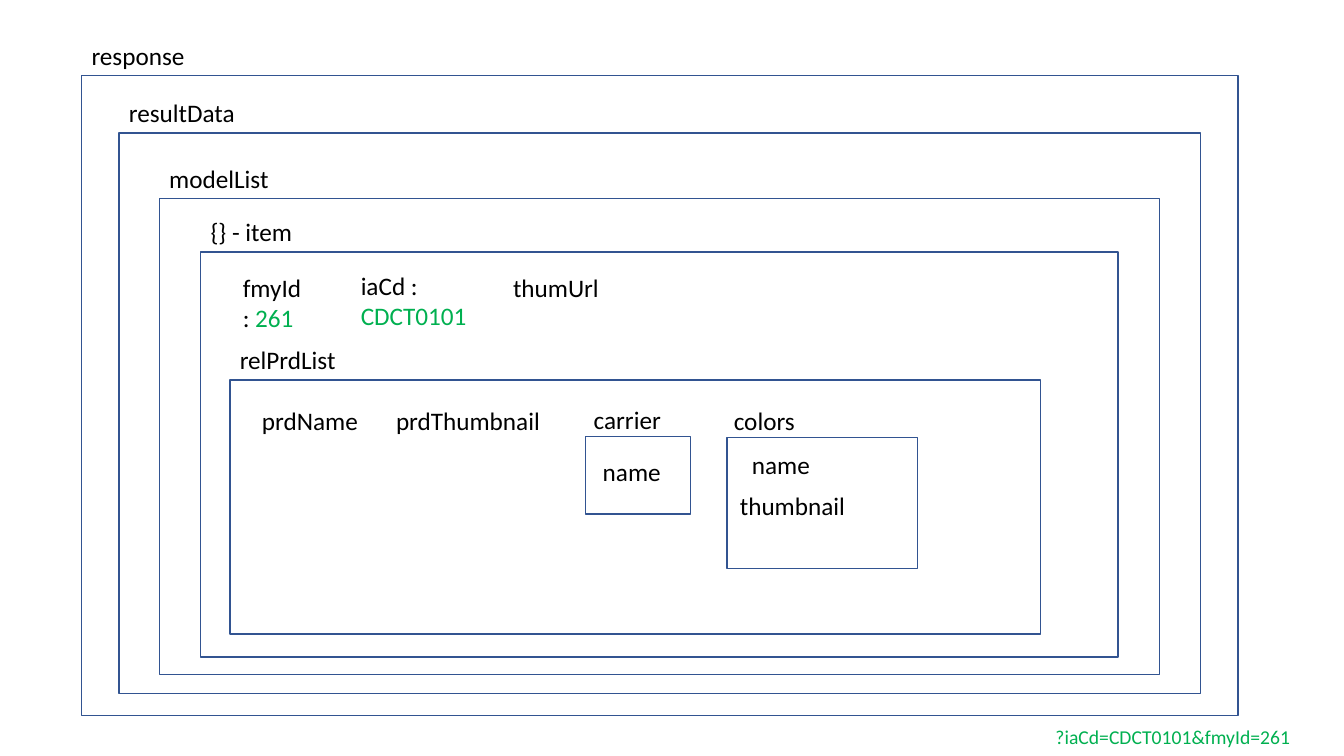
from pptx import Presentation
from pptx.dml.color import RGBColor
from pptx.enum.shapes import MSO_SHAPE
from pptx.enum.text import MSO_AUTO_SIZE
from pptx.util import Inches, Pt

RECTANGLE = MSO_SHAPE.RECTANGLE
FIT_SHAPE = MSO_AUTO_SIZE.SHAPE_TO_FIT_TEXT
BLACK = RGBColor(0x00, 0x00, 0x00)
GREEN = RGBColor(0x00, 0xB0, 0x50)
BLUE = RGBColor(0x32, 0x54, 0x91)
FONT = "Calibri"
LABEL_HEIGHT = 0.4

NESTED_OBJECTS = [
    ("response", 0.81, 0.75, 11.47, 6.35),
    ("resultData", 1.18, 1.32, 10.73, 5.56),
    ("modelList", 1.58, 1.97, 9.92, 4.72),
    ("{} - item", 1.99, 2.5, 9.1, 4.02),
    ("relPrdList", 2.28, 3.77, 8.04, 2.52),
]
VALUE_OBJECTS = [
    (5.81, 4.33, 1.04, 0.77),
    (7.21, 4.34, 1.89, 1.3),
]
FIELDS = [
    ("thumUrl", 4.99, 2.65, 1.33),
    ("prdName", 2.5, 3.97, 1.33),
    ("prdThumbnail", 3.83, 3.97, 1.96),
    ("carrier", 5.79, 3.96, 1.33),
    ("name", 5.88, 4.48, 1.33),
    ("colors", 7.18, 3.97, 1.33),
    ("thumbnail", 7.24, 4.82, 1.33),
    ("name", 7.36, 4.41, 1.33),
]


def add_text(slide, paragraphs, left, top, width, height=LABEL_HEIGHT,
             size=18, wrap=True):
    box = slide.shapes.add_textbox(
        Inches(left), Inches(top), Inches(width), Inches(height))
    frame = box.text_frame
    frame.word_wrap = wrap
    frame.auto_size = FIT_SHAPE
    for index, runs in enumerate(paragraphs):
        paragraph = frame.add_paragraph() if index else frame.paragraphs[0]
        for text, color in runs:
            run = paragraph.add_run()
            run.text = text
            run.font.name = FONT
            run.font.size = Pt(size)
            run.font.color.rgb = color


def add_outline(slide, left, top, width, height):
    shape = slide.shapes.add_shape(
        RECTANGLE, Inches(left), Inches(top), Inches(width), Inches(height))
    shape.shadow.inherit = False
    shape.fill.background()
    shape.line.color.rgb = BLUE
    shape.line.width = Pt(1)


def add_labelled_outline(slide, label, left, top, width, height):
    add_outline(slide, left, top, width, height)
    add_text(slide, [[(label, BLACK)]], left, top - LABEL_HEIGHT, 1.33,
             wrap=True)


def main():
    presentation = Presentation()
    presentation.slide_width = Inches(13.33)
    presentation.slide_height = Inches(7.5)
    slide = presentation.slides.add_slide(presentation.slide_layouts[6])

    for nested_object in NESTED_OBJECTS:
        add_labelled_outline(slide, *nested_object)
    for value_object in VALUE_OBJECTS:
        add_outline(slide, *value_object)
    for name, left, top, width in FIELDS:
        add_text(slide, [[(name, BLACK)]], left, top, width)

    add_text(slide, [[("fmyId : ", BLACK), ("261", GREEN)]],
             2.31, 2.65, 0.85, height=0.71)
    add_text(slide, [[("iaCd :", BLACK)], [("CDCT0101", GREEN)]],
             3.48, 2.63, 1.46, height=0.71)
    add_text(slide, [[("?iaCd=CDCT0101&fmyId=261", GREEN)]],
             10.37, 7.14, 2.55, height=0.34, size=14, wrap=False)

    presentation.save("out.pptx")


if __name__ == "__main__":
    main()
